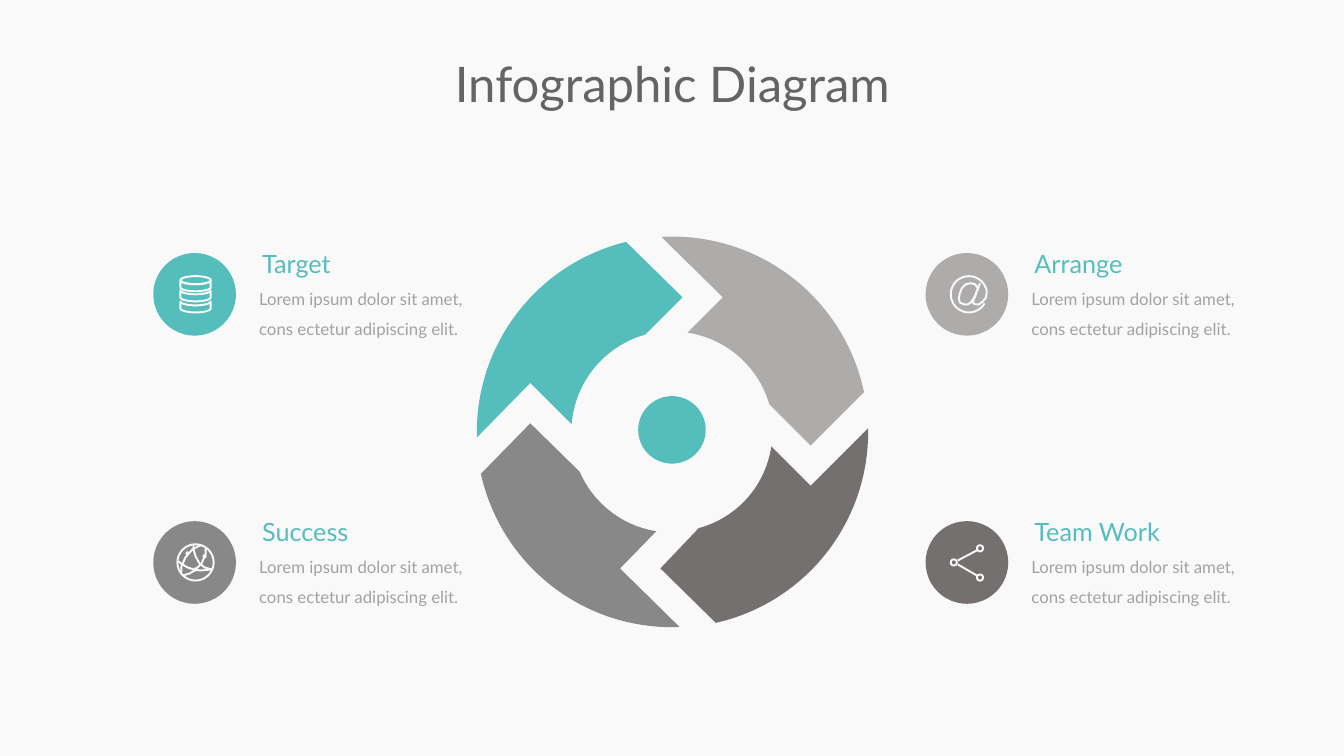
import math

from pptx import Presentation
from pptx.dml.color import RGBColor
from pptx.enum import shapes, text
from pptx.util import Inches, Pt

FONT = "Lato"
TEAL, SILVER, GRAY, DARK = "56BDBD", "AEABAB", "888888", "757070"
PALE, TITLE_COLOR, BODY_COLOR = "F9F9F9", "646464", "A2A2A2"
CENTER = (6.67, 4.29)
BODY = "Lorem ipsum dolor sit amet, cons ectetur adipiscing elit."

# color, tip, inner arc start and end, notch, outer arc start and end
SEGMENTS = [
    (TEAL, (6.77, 2.95), (6.4, 3.32), (5.67, 4.21), (5.26, 3.8), (4.73, 4.34), (6.21, 2.4)),
    (SILVER, (8.04, 4.42), (7.63, 4.01), (6.82, 3.3), (7.17, 2.95), (6.56, 2.35), (8.57, 3.89)),
    (GRAY, (5.26, 4.2), (5.75, 4.68), (6.51, 5.27), (6.15, 5.64), (6.74, 6.22), (4.77, 4.7)),
    (DARK, (6.55, 5.64), (6.93, 5.24), (7.65, 4.43), (8.04, 4.82), (8.61, 4.25), (7.1, 6.18)),
]

# heading, heading width, color, left, top
CARDS = [
    ("Target", 0.74, TEAL, 1.52, 2.51),
    ("Arrange", 0.9, SILVER, 9.18, 2.51),
    ("Success", 0.88, GRAY, 1.52, 5.17),
    ("Team Work", 1.33, DARK, 9.18, 5.17),
]


def rgb(color):
    return RGBColor.from_string(color)


def arc(x, y, rx, ry, start=0, end=360, steps=32):
    """Points of an ellipse arc; angles in degrees, clockwise from the right."""
    angles = [math.radians(start + (end - start) * i / steps) for i in range(steps + 1)]
    return [(x + rx * math.cos(a), y + ry * math.sin(a)) for a in angles]


def ring_arc(start, end, steps=40):
    """Points around CENTER from start to end, the short way."""
    cx, cy = CENTER
    (a0, r0), (a1, r1) = [
        (math.atan2(y - cy, x - cx), math.hypot(x - cx, y - cy)) for x, y in (start, end)]
    sweep = (a1 - a0 + math.pi) % (2 * math.pi) - math.pi
    points = []
    for i in range(steps + 1):
        t = i / steps
        a, r = a0 + sweep * t, r0 + (r1 - r0) * t
        points.append((cx + r * math.cos(a), cy + r * math.sin(a)))
    return points


def add_outline(s, contours, close):
    contours = [[(Inches(x), Inches(y)) for x, y in c] for c in contours]
    builder = s.shapes.build_freeform(*contours[0][0])
    for i, points in enumerate(contours):
        if i:
            builder.move_to(*points[0])
        builder.add_line_segments(points[1:], close=close)
    sp = builder.convert_to_shape()
    sp.shadow.inherit = False
    return sp


def paint(sp, color):
    sp.fill.solid()
    sp.fill.fore_color.rgb = rgb(color)
    sp.line.fill.background()


def add_segment(s, color, tip, inner_start, inner_end, notch, outer_start, outer_end):
    points = [tip, *ring_arc(inner_start, inner_end), notch, *ring_arc(outer_start, outer_end)]
    paint(add_outline(s, [points], True), color)


def add_icon(s, strokes):
    sp = add_outline(s, strokes, False)
    sp.fill.background()
    sp.line.color.rgb = rgb(PALE)
    sp.line.width = Pt(1.4)


def add_disc(s, x, y, size, color):
    sp = s.shapes.add_shape(
        shapes.MSO_SHAPE.OVAL, Inches(x), Inches(y), Inches(size), Inches(size))
    sp.shadow.inherit = False
    paint(sp, color)


def add_text(s, box, content, size, color, wrap=False, inset=0, spacing=None,
             align=text.PP_ALIGN.LEFT):
    tf = s.shapes.add_textbox(*map(Inches, box)).text_frame
    tf.word_wrap = wrap
    if inset is not None:
        for side in ("left", "top", "right", "bottom"):
            setattr(tf, f"margin_{side}", Inches(inset))
    p = tf.paragraphs[0]
    p.alignment = align
    if spacing:
        p.line_spacing = spacing
    r = p.add_run()
    r.text = content
    for name, value in {"name": FONT, "size": Pt(size)}.items():
        setattr(r.font, name, value)
    r.font.color.rgb = rgb(color)


def add_card(s, heading, width, color, x, y):
    add_disc(s, x, y, 0.82, color)
    add_text(s, (x + 1.08, y - 0.05, width, 0.3), heading, 18, TEAL)
    add_text(s, (x + 1.05, y + 0.25, 2.05, 0.61), BODY, 12, BODY_COLOR, wrap=True, spacing=1.5)


def database_strokes():
    x, rx, ry = 1.94, 0.15, 0.04
    strokes = [arc(x, 2.78, rx, ry)]
    for top in (2.78, 2.88, 2.99):
        strokes.append(arc(x, top, rx, ry, 0, 180) + arc(x, top + 0.07, rx, ry, 180, 0)
                       + [(x + rx, top)])
    return strokes


def at_sign_strokes():
    tail = [(9.78, 2.95), (9.75, 2.99), (9.71, 3.02), (9.67, 3.02), (9.65, 3), (9.66, 2.97),
            (9.72, 2.81)]
    bowl = [(9.7, 2.86), (9.67, 2.94), (9.63, 3), (9.6, 3.02), (9.56, 3.02), (9.52, 3),
            (9.51, 2.96), (9.52, 2.91), (9.54, 2.86), (9.58, 2.82), (9.63, 2.81),
            (9.67, 2.82), (9.7, 2.86)]
    return [arc(9.61, 2.92, 0.18, 0.18, 30, 350) + tail, bowl]


def globe_strokes():
    curves = [
        [(1.92, 5.4), (1.92, 5.45), (1.94, 5.52), (1.98, 5.59), (2.03, 5.63), (2.1, 5.65)],
        [(1.77, 5.57), (1.81, 5.6), (1.86, 5.63), (1.92, 5.65), (1.99, 5.66), (2.1, 5.65)],
        [(1.8, 5.68), (1.8, 5.62), (1.84, 5.53), (1.91, 5.45), (1.99, 5.41)],
        [(2.04, 5.44), (2.04, 5.5), (2, 5.59), (1.93, 5.66), (1.88, 5.69), (1.81, 5.71)],
    ]
    dots = [arc(x, y, 0.01, 0.01) for x, y in ((1.86, 5.49), (2.03, 5.52), (1.94, 5.65))]
    return [arc(1.94, 5.58, 0.18, 0.18), *curves, *dots]


def share_strokes():
    nodes = [(9.46, 5.58), (9.72, 5.44), (9.72, 5.73)]
    links = [[(9.5, 5.56), (9.69, 5.46)], [(9.5, 5.6), (9.69, 5.71)]]
    return [arc(x, y, 0.03, 0.03) for x, y in nodes] + links


def main():
    prs = Presentation()
    prs.slide_width, prs.slide_height = Inches(13.33), Inches(7.5)
    s = prs.slides.add_slide(prs.slide_layouts[6])
    s.background.fill.solid()
    s.background.fill.fore_color.rgb = rgb(PALE)

    add_text(s, (4.34, 0.48, 4.66, 0.69), "Infographic Diagram", 35, TITLE_COLOR,
             inset=None, align=text.PP_ALIGN.CENTER)
    for segment in SEGMENTS:
        add_segment(s, *segment)
    add_disc(s, 6.33, 3.93, 0.67, TEAL)
    for card in CARDS:
        add_card(s, *card)
    for strokes in (database_strokes(), at_sign_strokes(), globe_strokes(), share_strokes()):
        add_icon(s, strokes)
    prs.save("out.pptx")


if __name__ == "__main__":
    main()
